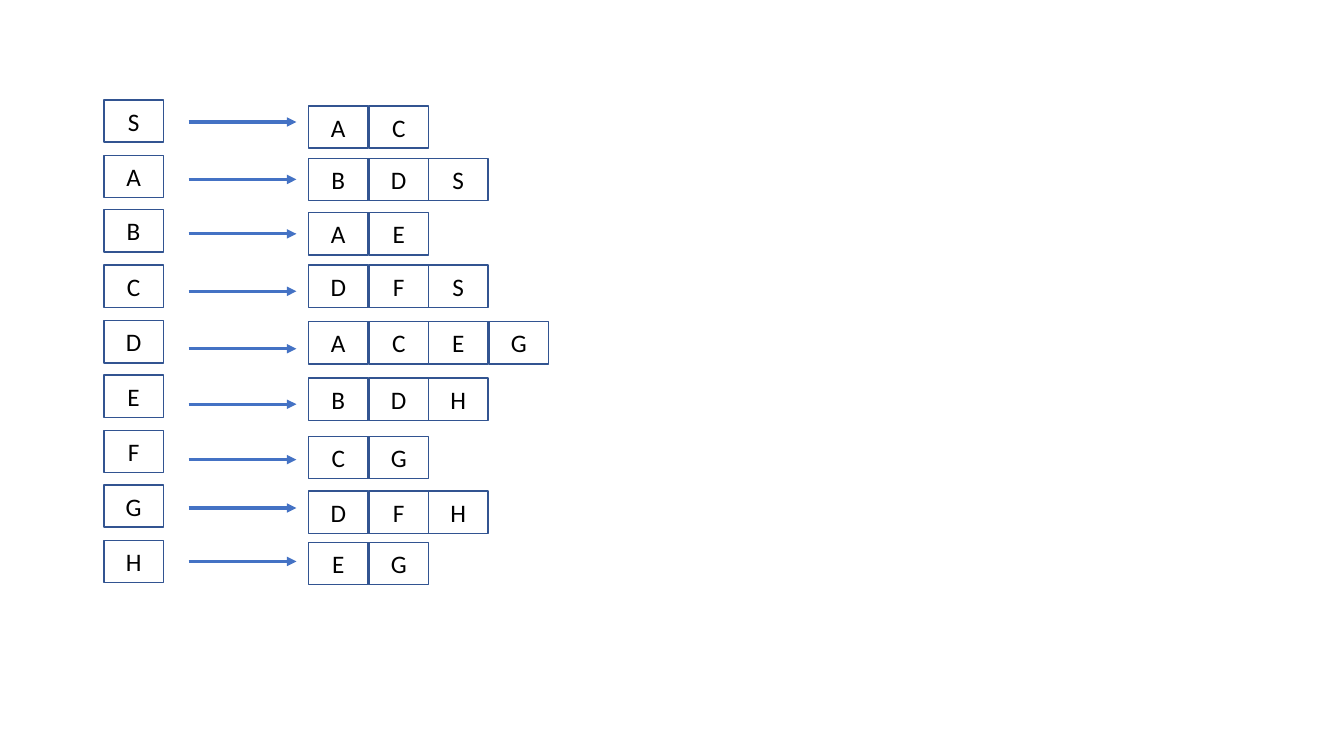
from pptx import Presentation
from pptx.dml.color import RGBColor
from pptx.enum.shapes import MSO_CONNECTOR as Link, MSO_SHAPE as Shape
from pptx.enum.text import MSO_ANCHOR as Anchor, PP_ALIGN as Align
from pptx.oxml.ns import qn
from pptx.util import Pt
from lxml.etree import SubElement

ROWS = [
    ("S", "AC", 121, 105),
    ("A", "BDS", 178, 157),
    ("B", "AE", 232, 211),
    ("C", "DFS", 289, 263),
    ("D", "ACEG", 346, 319),
    ("E", "BDH", 401, 375),
    ("F", "CG", 456, 433),
    ("G", "DFH", 504, 487),
    ("H", "EG", 557, 538),
]
PX = 9144
WIDE, HIGH = 1333, 750
BOX_W, BOX_H = 59, 42
KEY_X, KEY_TOP, KEY_END = 103, 99, 536
TAIL_X, HEAD_X = 187, 294
LIST_X, LIST_END = 306, 485
EDGE = RGBColor(0x32, 0x54, 0x91)
BLUE = RGBColor(0x44, 0x72, 0xC4)
BLACK = RGBColor(0, 0, 0)
FONT = {"name": "Calibri", "size": Pt(18)}
FRAME = {"vertical_anchor": Anchor.MIDDLE, "word_wrap": True}


def style(item, form):
    """Set each attribute named in the format dict."""
    for name, value in form.items():
        setattr(item, name, value)


def add_box(slide, text, x, y):
    """Draw one outlined node cell."""
    box = slide.shapes.add_shape(
        Shape.RECTANGLE, x * PX, y * PX, BOX_W * PX, BOX_H * PX)
    box.shadow.inherit = False
    box.fill.background()
    box.line.color.rgb = EDGE
    box.line.width = Pt(1)
    style(box.text_frame, FRAME)
    para = box.text_frame.paragraphs[0]
    para.alignment = Align.CENTER
    run = para.add_run()
    run.text = text
    style(run.font, FONT)
    run.font.color.rgb = BLACK


def add_arrow(slide, y):
    """Draw the arrow from a node to its list."""
    arrow = slide.shapes.add_connector(
        Link.STRAIGHT, TAIL_X * PX, y * PX, HEAD_X * PX, y * PX)
    arrow.line.color.rgb = BLUE
    arrow.line.width = Pt(2.25)
    SubElement(arrow.line._get_or_add_ln(), qn("a:tailEnd"), type="triangle")
    SubElement(arrow._element.spPr, qn("a:effectLst"))


def main():
    """Build the adjacency list slide."""
    deck = Presentation()
    style(deck, {"slide_width": WIDE * PX, "slide_height": HIGH * PX})
    slide = deck.slides.add_slide(deck.slide_layouts[6])
    step = (KEY_END - KEY_TOP) / (len(ROWS) - 1)
    pitch = (LIST_END - LIST_X) / 3
    for i, (node, peers, mid, top) in enumerate(ROWS):
        add_box(slide, node, KEY_X, round(KEY_TOP + i * step))
        add_arrow(slide, mid)
        for j, peer in enumerate(peers):
            add_box(slide, peer, round(LIST_X + j * pitch), top)
    deck.save("out.pptx")


if __name__ == "__main__":
    main()
